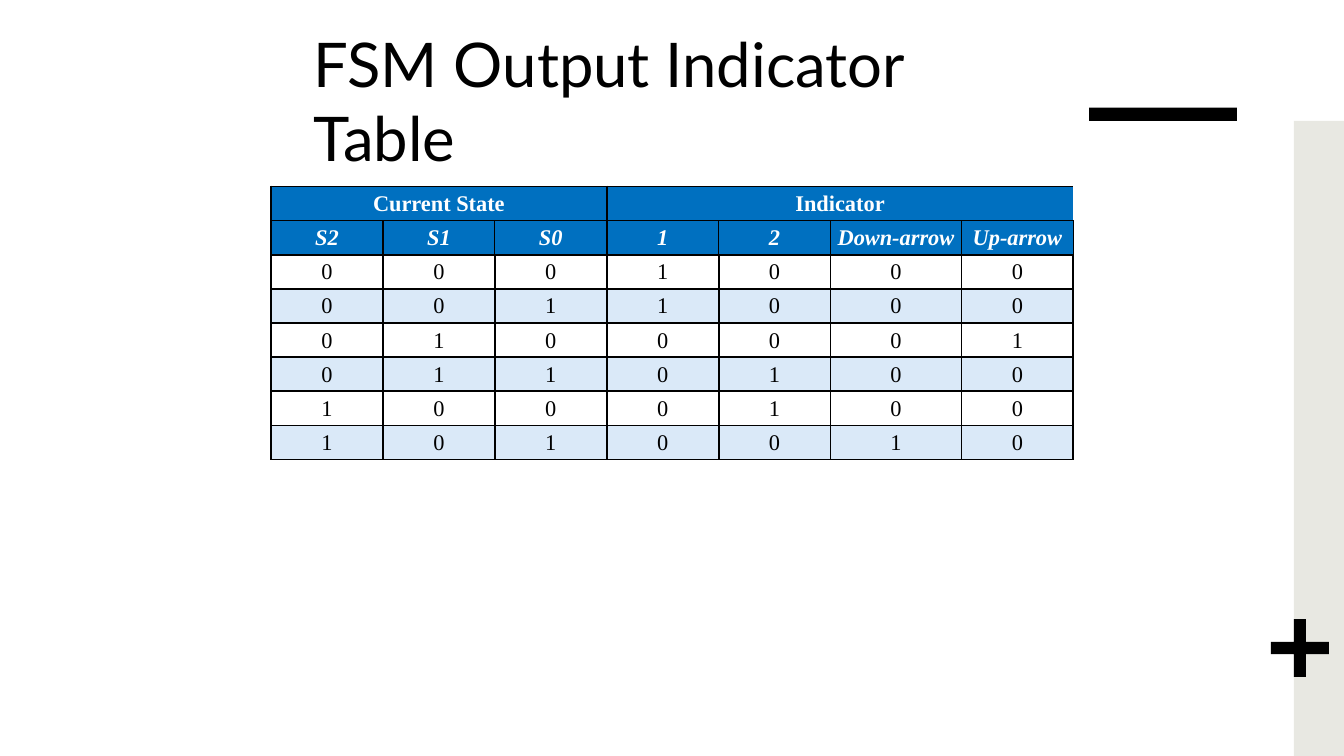
from dataclasses import dataclass

from lxml.etree import SubElement
from pptx import Presentation
from pptx.dml.color import RGBColor
from pptx.enum.shapes import MSO_SHAPE as Shape
from pptx.enum.text import MSO_ANCHOR as Anchor, MSO_AUTO_SIZE as AutoSize, PP_ALIGN as Align
from pptx.oxml.ns import qn
from pptx.util import Cm, Pt


@dataclass(frozen=True)
class Theme:
    black: str = "000000"
    white: str = "FFFFFF"
    header: str = "0070C0"
    band: str = "DAE9F8"
    panel: str = "E8E8E2"
    title_font: str = "Lato"
    table_font: str = "Times New Roman"
    title_size: int = 44
    table_size: int = 16
    thick: float = 1.5
    thin: float = 1
    hairline: float = 0.5


class SlideBuilder:
    def __init__(self, slide, theme):
        self.slide = slide
        self.theme = theme
        self.fill(slide.background.fill, theme.white)

    def fill(self, fill, color):
        fill.solid()
        fill.fore_color.rgb = RGBColor.from_string(color)

    def style(self, paragraph, font, size, color, bold=False, italic=False):
        paragraph.font.name = font
        paragraph.font.size = Pt(size)
        paragraph.font.color.rgb = RGBColor.from_string(color)
        paragraph.font.bold = bold
        paragraph.font.italic = italic

    def title(self, text, left, top, width, height):
        title = self.slide.shapes.title
        title.left, title.top, title.width, title.height = map(Cm, (left, top, width, height))
        frame = title.text_frame
        frame.text = text
        frame.word_wrap = True
        frame.auto_size = AutoSize.NONE
        frame.vertical_anchor = Anchor.TOP
        paragraph = frame.paragraphs[0]
        paragraph.alignment = Align.LEFT
        self.style(paragraph, self.theme.title_font, self.theme.title_size, self.theme.black)

    def shape(self, kind, color, left, top, width, height):
        shape = self.slide.shapes.add_shape(kind, *map(Cm, (left, top, width, height)))
        shape.shadow.inherit = False
        self.fill(shape.fill, color)
        shape.line.fill.background()
        return shape

    def borders(self, cell, widths):
        properties = cell._tc.get_or_add_tcPr()
        for side, width in widths.items():
            line = SubElement(properties, qn(f"a:ln{side}"), w=str(Pt(width)))
            solid = SubElement(line, qn("a:solidFill"))
            SubElement(solid, qn("a:srgbClr"), val=self.theme.black)

    def border_widths(self, row, column, last_column, group_starts):
        theme = self.theme
        if row > 1:
            return dict.fromkeys("LRTB", theme.thick)
        right = theme.thick if column + 1 in group_starts else theme.thin
        if row == 0 and column == last_column:
            right = theme.hairline
        return {
            "L": theme.thick if column in group_starts else theme.thin,
            "R": right,
            "T": theme.thin if row else theme.thick,
            "B": theme.thick if row else theme.thin,
        }

    def cell(self, cell, text, row):
        theme = self.theme
        is_header = row < 2
        cell.margin_left = cell.margin_right = cell.margin_top = Cm(0.02)
        cell.margin_bottom = 0
        cell.vertical_anchor = Anchor.MIDDLE
        if is_header:
            self.fill(cell.fill, theme.header)
        elif row % 2:
            self.fill(cell.fill, theme.band)
        else:
            cell.fill.background()
        cell.text = text
        paragraph = cell.text_frame.paragraphs[0]
        paragraph.alignment = Align.CENTER
        self.style(paragraph, theme.table_font, theme.table_size,
                   theme.white if is_header else theme.black, is_header, row == 1)

    def table(self, groups, rows, left, top, column_widths, row_height):
        column_count = len(column_widths)
        row_count = len(rows) + 1
        table = self.slide.shapes.add_table(
            row_count, column_count, Cm(left), Cm(top),
            Cm(sum(column_widths)), Cm(row_height * row_count)).table
        table.first_row = table.horz_banding = False
        for column, width in zip(table.columns, column_widths):
            column.width = Cm(width)
        for row in table.rows:
            row.height = Cm(row_height)

        group_row = [""] * column_count
        starts = []
        for name, span in groups:
            start = sum(size for _, size in groups[:len(starts)])
            starts.append(start)
            group_row[start] = name
            table.cell(0, start).merge(table.cell(0, start + span - 1))

        for row, values in enumerate([group_row, *rows]):
            for column, value in enumerate(values):
                cell = table.cell(row, column)
                widths = self.border_widths(row, column, column_count - 1, starts)
                if row == 0:
                    if column not in starts:
                        widths.pop("L")
                    if column + 1 not in (*starts, column_count):
                        widths.pop("R")
                self.borders(cell, widths)
                self.cell(cell, value, row)


def main():
    presentation = Presentation()
    presentation.slide_width = Cm(33.87)
    presentation.slide_height = Cm(19.05)
    theme = Theme()
    builder = SlideBuilder(presentation.slides.add_slide(presentation.slide_layouts[5]), theme)

    builder.shape(Shape.RECTANGLE, theme.black, 27.45, 2.71, 3.72, 0.34)
    builder.title("FSM Output Indicator Table", 7.65, 0.53, 18.57, 2.51)
    builder.shape(Shape.RECTANGLE, theme.panel, 32.61, 3.05, 1.26, 16)
    plus = builder.shape(Shape.CROSS, theme.black, 32.03, 15.6, 1.46, 1.46)
    plus.adjustments[0] = 0.395

    states = ["0001000", "0011000", "0100001", "0110100", "1000100", "1010010"]
    builder.table(
        groups=[("Current State", 3), ("Indicator", 4)],
        rows=[["S2", "S1", "S0", "1", "2", "Down-arrow", "Up-arrow"], *map(list, states)],
        left=6.83, top=4.7,
        column_widths=[2.82] * 5 + [3.3, 2.82],
        row_height=0.86)

    presentation.save("out.pptx")


if __name__ == "__main__":
    main()
